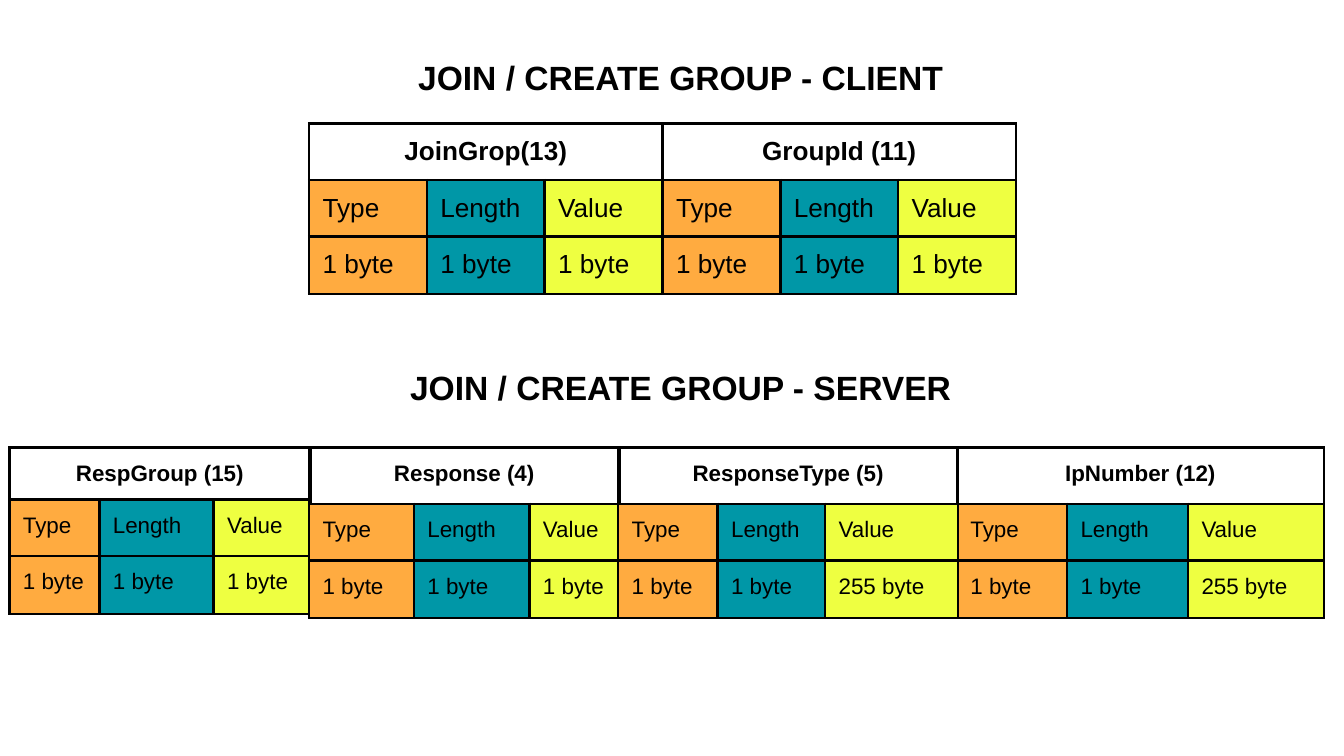
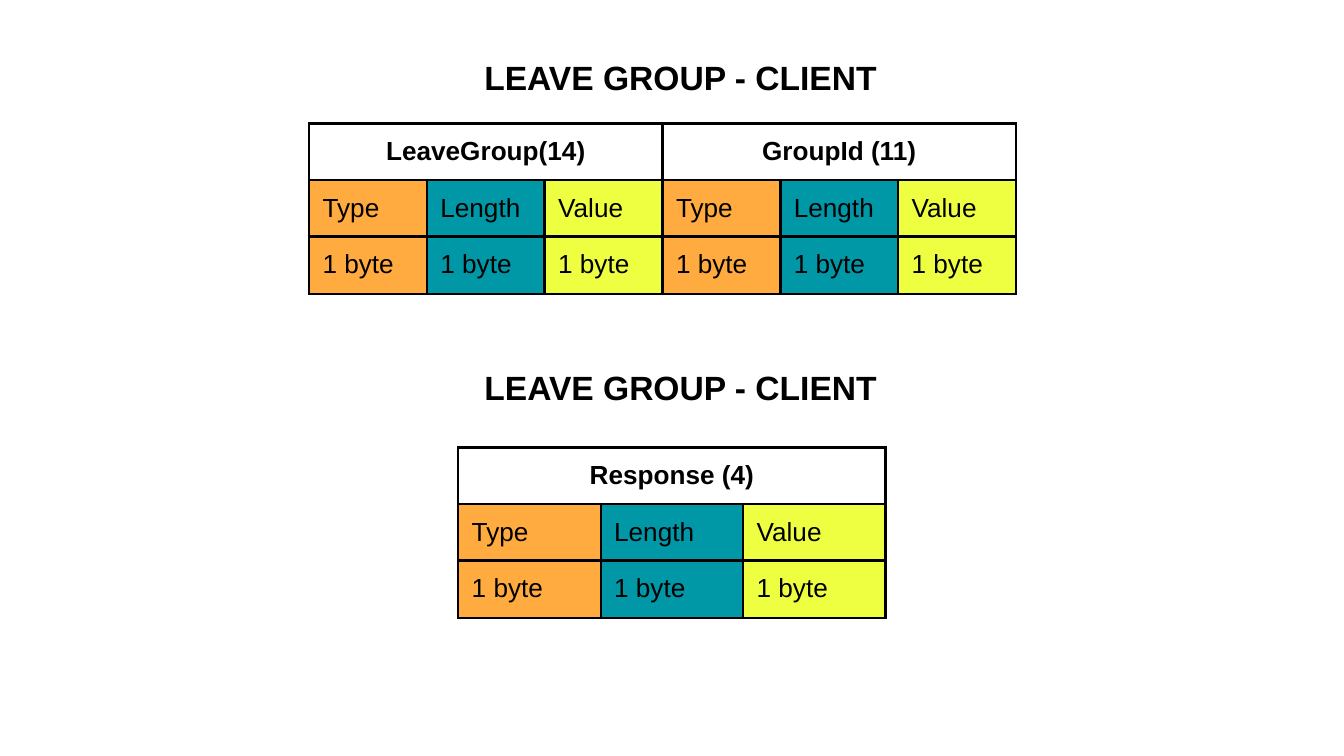
import pptx
import pptx.dml.color
import pptx.enum.text
import pptx.util
from lxml import etree
from pptx.oxml.ns import qn

Inches = pptx.util.Inches
Pt = pptx.util.Pt
BLACK = "000000"
FIELDS = [("Type", "FFAB40"), ("Length", "0097A7"), ("Value", "EEFF41")]
HEADINGS = [(2.38, 0.32, 5.37, 0.6), (2.49, 2.63, 5.15, 0.6)]
MARGINS = ("margin_left", "margin_top", "margin_right", "margin_bottom")
CLIENT_TOP, SERVER_TOP = 0.92, 3.33
CLIENT_LEFT, GROUP_LEFT = 2.3, 4.93
EVEN = [(GROUP_LEFT - CLIENT_LEFT) / 3] * 3

# Each table: name, left, top, column widths, text size, header height, size of value
SLIDES = [
    (["JOIN / CREATE GROUP - CLIENT", "JOIN / CREATE GROUP - SERVER"], [
        ("JoinGrop(13)", CLIENT_LEFT, CLIENT_TOP, EVEN, 14, 0.42, "1 byte"),
        ("RespGroup (15)", 0.07, SERVER_TOP, [0.67, 0.85, 0.72], 12, 0.38, "1 byte"),
        ("GroupId (11)", GROUP_LEFT, CLIENT_TOP, EVEN, 14, 0.42, "1 byte"),
        ("Response (4)", 2.3, SERVER_TOP, [0.78, 0.86, 0.67], 12, 0.42, "1 byte"),
        ("IpNumber (12)", 7.12, SERVER_TOP, [0.82, 0.9, 1.01], 12, 0.42, "255 byte"),
        ("ResponseType (5)", 4.6, SERVER_TOP, [0.74, 0.8, 0.99], 12, 0.42, "255 byte"),
    ]),
    (["LEAVE GROUP - CLIENT", "LEAVE GROUP - CLIENT"], [
        ("LeaveGroup(14)", CLIENT_LEFT, CLIENT_TOP, EVEN, 14, 0.42, "1 byte"),
        ("GroupId (11)", GROUP_LEFT, CLIENT_TOP, EVEN, 14, 0.42, "1 byte"),
        ("Response (4)", 3.41, SERVER_TOP, [1.06] * 3, 14, 0.42, "1 byte"),
    ]),
]


def rgb(value):
    return pptx.dml.color.RGBColor.from_string(value)


def write(tf, text, size, bold):
    """Fill a text frame with one Arial run; bold text is centred."""
    p = tf.paragraphs[0]
    align = pptx.enum.text.PP_ALIGN
    p.alignment = align.CENTER if bold else align.LEFT
    r = p.add_run()
    r.text = text
    for name, value in {"name": "Arial", "size": Pt(size), "bold": bold}.items():
        setattr(r.font, name, value)
    r.font.color.rgb = rgb(BLACK)


prs = pptx.Presentation()
prs.slide_width = Inches(10)
prs.slide_height = prs.slide_width * 9 // 16

for headings, tables in SLIDES:
    s = prs.slides.add_slide(prs.slide_layouts[5])
    boxes = [s.shapes.title, s.shapes.add_textbox(0, 0, 0, 0)]
    for sp, text, place in zip(boxes, headings, HEADINGS):
        sp.left, sp.top, sp.width, sp.height = map(Inches, place)
        tf = sp.text_frame
        tf.word_wrap = True
        tf.auto_size = pptx.enum.text.MSO_AUTO_SIZE.NONE
        tf.vertical_anchor = pptx.enum.text.MSO_ANCHOR.TOP
        for margin in MARGINS:
            setattr(tf, margin, Inches(0.1))
        write(tf, text, 18, True)

    for name, left, top, widths, size, header_height, value_size in tables:
        heights = [header_height, 0.42, 0.43]
        frame = s.shapes.add_table(3, 3, Inches(left), Inches(top),
                                   Inches(sum(widths)), Inches(sum(heights)))
        table = frame.table
        table.first_row = table.horz_banding = False
        for row, height in zip(table.rows, heights):
            row.height = Inches(height)
        for column, width in zip(table.columns, widths):
            column.width = Inches(width)

        table.cell(0, 0).merge(table.cell(0, 2))
        write(table.cell(0, 0).text_frame, name, size, True)
        for i, (field, color) in enumerate(FIELDS):
            table.cell(0, i).fill.background()
            length = value_size if field == "Value" else "1 byte"
            for row, text in enumerate([field, length], 1):
                cell = table.cell(row, i)
                cell.fill.solid()
                cell.fill.fore_color.rgb = rgb(color)
                write(cell.text_frame, text, size, False)

        for cell in table.iter_cells():
            for margin in MARGINS:
                setattr(cell, margin, Inches(0.1))
            tcPr = cell._tc.get_or_add_tcPr()
            for i, side in enumerate(["a:lnL", "a:lnR", "a:lnT", "a:lnB"]):
                ln = etree.Element(qn(side), w=str(Pt(1.5)))
                fill = etree.SubElement(ln, qn("a:solidFill"))
                etree.SubElement(fill, qn("a:srgbClr"), val=BLACK)
                tcPr.insert(i, ln)

prs.save("out.pptx")
